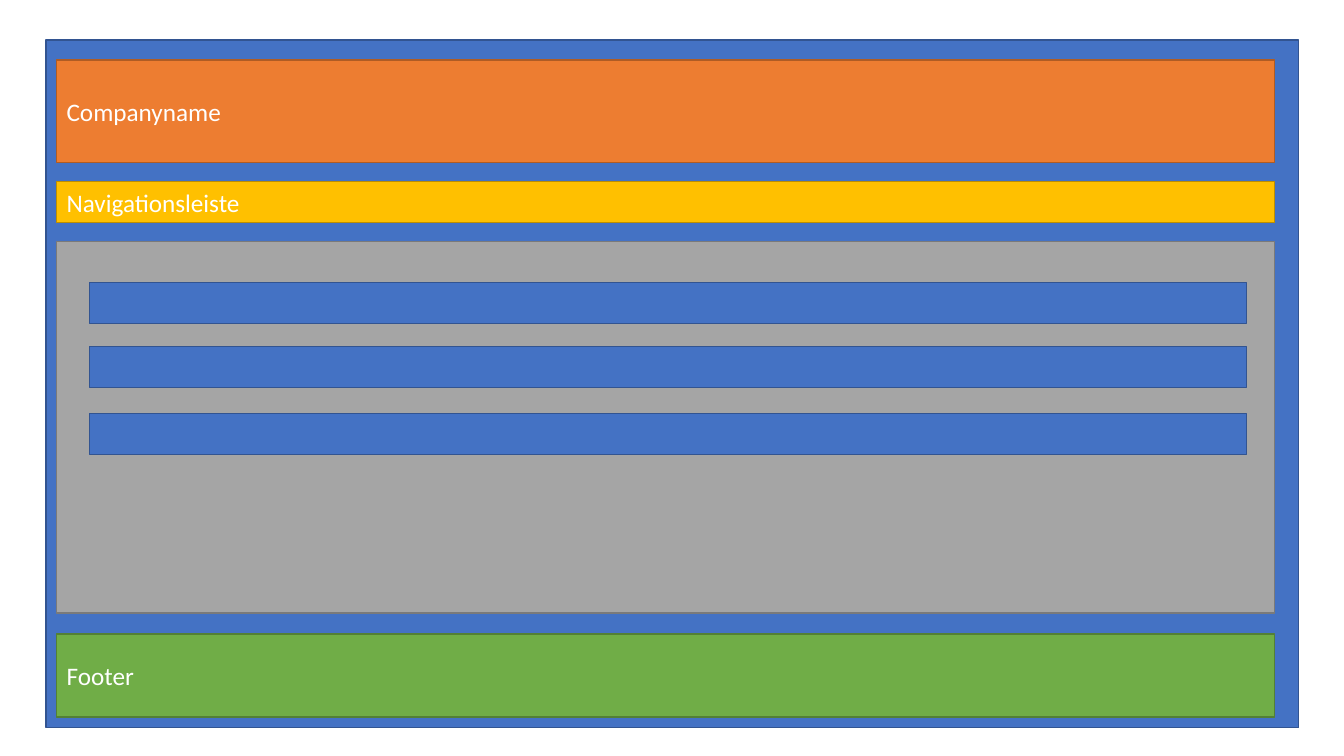
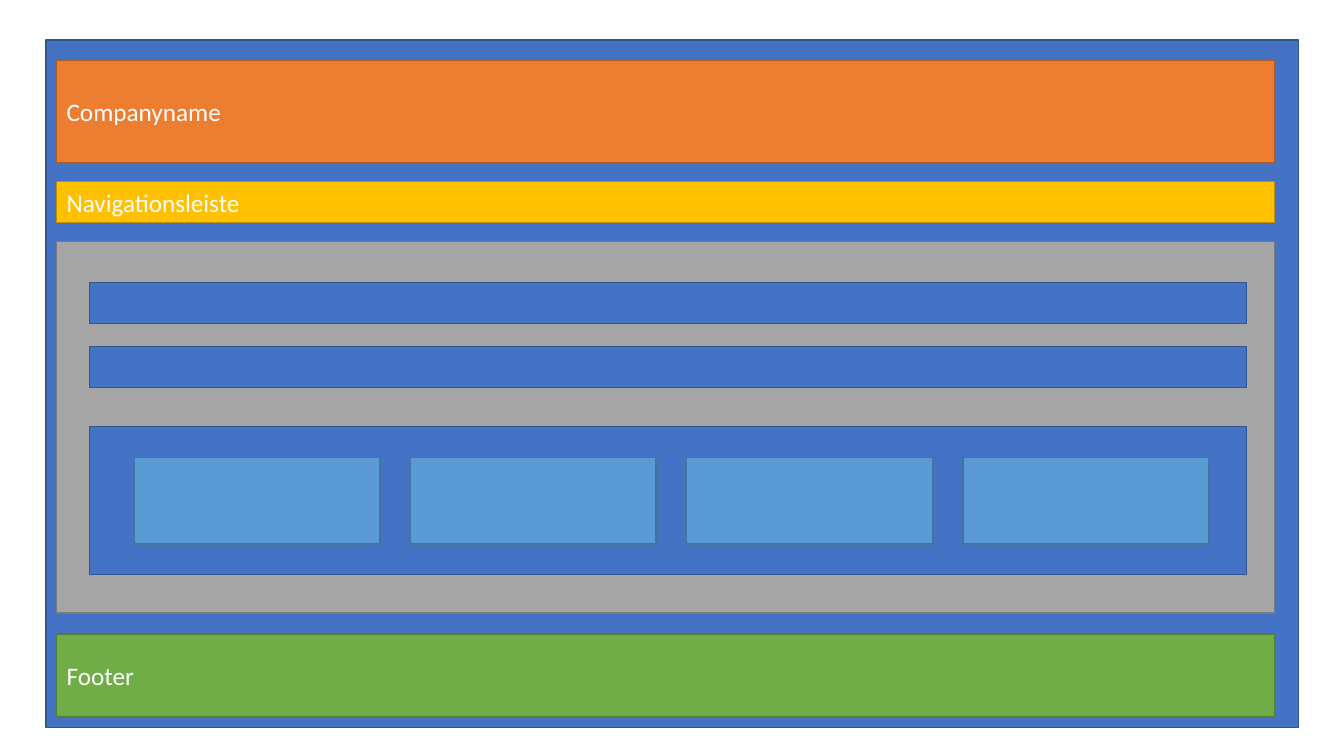
from collections import namedtuple

from pptx import Presentation
from pptx.dml.color import RGBColor
from pptx.enum.shapes import MSO_SHAPE
from pptx.enum.text import MSO_ANCHOR, PP_ALIGN
from pptx.util import Emu, Pt

PX = 9525
SLIDE_WIDTH, SLIDE_HEIGHT = 1280, 720

WHITE = RGBColor(0xFF, 0xFF, 0xFF)
BLUE = RGBColor(0x44, 0x72, 0xC4)
BLUE_EDGE = RGBColor(0x32, 0x54, 0x91)
ORANGE = RGBColor(0xED, 0x7D, 0x31)
ORANGE_EDGE = RGBColor(0xAF, 0x5C, 0x24)
YELLOW = RGBColor(0xFF, 0xC0, 0x00)
YELLOW_EDGE = RGBColor(0xBD, 0x8E, 0x00)
GRAY = RGBColor(0xA5, 0xA5, 0xA5)
GRAY_EDGE = RGBColor(0x7A, 0x7A, 0x7A)
GREEN = RGBColor(0x70, 0xAD, 0x47)
GREEN_EDGE = RGBColor(0x53, 0x80, 0x35)
SKY = RGBColor(0x5B, 0x9B, 0xD5)
SKY_EDGE = RGBColor(0x43, 0x73, 0x9E)

Box = namedtuple("Box", "left top width height")
Tone = namedtuple("Tone", "fill edge")

BLUE_TONE = Tone(BLUE, BLUE_EDGE)
GRAY_TONE = Tone(GRAY, GRAY_EDGE)
SKY_TONE = Tone(SKY, SKY_EDGE)

FRAME = Box(44, 38, 1193, 655)
BAND_LEFT, BAND_WIDTH = 10, 1160
BANDS = (
    ("Companyname", 19, 98, Tone(ORANGE, ORANGE_EDGE)),
    ("Navigationsleiste", 135, 39, Tone(YELLOW, YELLOW_EDGE)),
    ("", 192, 354, GRAY_TONE),
    ("Footer", 566, 79, Tone(GREEN, GREEN_EDGE)),
)
CONTENT = Box(FRAME.left + BAND_LEFT, FRAME.top + 192, BAND_WIDTH, 354)
BAR_LEFT, BAR_WIDTH, BAR_HEIGHT = 31, 1102, 39
CARD_COUNT, CARD_STEP = 4, 263
LABEL_FONT = {"name": "Calibri", "size": Pt(18)}


def inside(parent, left, top, width, height):
    return Box(parent.left + left, parent.top + top, width, height)


def add_block(slide, box, tone, label=""):
    block = slide.shapes.add_shape(
        MSO_SHAPE.RECTANGLE, *(Emu(length * PX) for length in box))
    block.shadow.inherit = False
    block.fill.solid()
    block.fill.fore_color.rgb = tone.fill
    block.line.color.rgb = tone.edge
    block.line.width = Pt(1)
    if label:
        block.text_frame.vertical_anchor = MSO_ANCHOR.MIDDLE
        paragraph = block.text_frame.paragraphs[0]
        paragraph.alignment = PP_ALIGN.LEFT
        run = paragraph.add_run()
        run.text = label
        for attribute, value in LABEL_FONT.items():
            setattr(run.font, attribute, value)
        run.font.color.rgb = WHITE


def add_page_frame(slide, frame):
    add_block(slide, frame, BLUE_TONE)
    for label, top, height, tone in BANDS:
        band = inside(frame, BAND_LEFT, top, BAND_WIDTH, height)
        add_block(slide, band, tone, label)


def add_bars(slide, content, tops):
    for top in tops:
        bar = inside(content, BAR_LEFT, top, BAR_WIDTH, BAR_HEIGHT)
        add_block(slide, bar, BLUE_TONE)


def add_card_panel(slide, panel):
    add_block(slide, panel, BLUE_TONE)
    for column in range(CARD_COUNT):
        card = inside(panel, 43 + column * CARD_STEP, 30, 234, 82)
        add_block(slide, card, SKY_TONE)


def add_bar_page(slide):
    add_page_frame(slide, FRAME)
    add_bars(slide, CONTENT, (39, 100, 164))


def add_card_page(slide):
    add_page_frame(slide, FRAME)
    add_bars(slide, CONTENT, (39, 100))
    add_card_panel(slide, inside(CONTENT, BAR_LEFT, 176, BAR_WIDTH, 141))


def main():
    deck = Presentation()
    deck.slide_width = Emu(SLIDE_WIDTH * PX)
    deck.slide_height = Emu(SLIDE_HEIGHT * PX)
    for add_page in (add_bar_page, add_card_page):
        add_page(deck.slides.add_slide(deck.slide_layouts[6]))
    deck.save("out.pptx")


if __name__ == "__main__":
    main()
